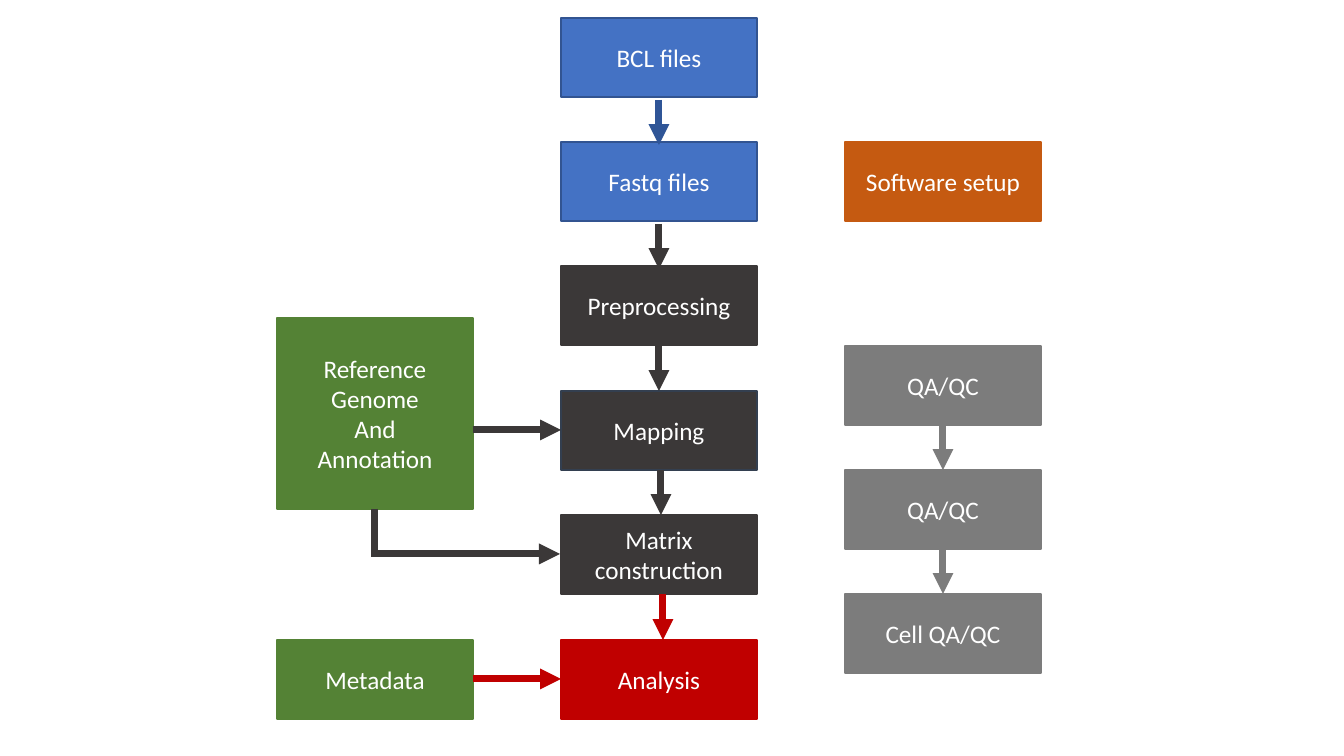
import dataclasses

import lxml.etree
import pptx
import pptx.dml.color
import pptx.enum.shapes
import pptx.enum.text
import pptx.oxml.ns
import pptx.util

SCALE = 914400 / 100.8


@dataclasses.dataclass(frozen=True)
class Theme:
    font: str = "Calibri"
    text_size: int = 18
    border_width: int = 1
    arrow_width: int = 5
    text: str = "FFFFFF"
    blue: str = "4472C4"
    blue_border: str = "325491"
    blue_arrow: str = "2F5597"
    charcoal: str = "3B3838"
    slate: str = "333F50"
    green: str = "548235"
    orange: str = "C55A11"
    gray: str = "7C7C7C"
    red: str = "C00000"


def emu(pixels):
    return round(pixels * SCALE)


def color(value):
    return pptx.dml.color.RGBColor.from_string(value)


def apply(target, values):
    for name, value in values.items():
        setattr(target, name, value)


def add_xml(parent, tag, **attributes):
    return lxml.etree.SubElement(parent, pptx.oxml.ns.qn(tag), attributes)


class FlowSlide:
    def __init__(self, slide, theme):
        self.shapes = slide.shapes
        self.theme = theme

    def box(self, text, left, top, width, height, fill, border=None):
        box = self.shapes.add_shape(
            pptx.enum.shapes.MSO_SHAPE.RECTANGLE,
            *map(emu, (left, top, width, height)),
        )
        box.shadow.inherit = False
        box.fill.solid()
        box.fill.fore_color.rgb = color(fill)
        box.line.color.rgb = color(border or fill)
        box.line.width = pptx.util.Pt(self.theme.border_width)
        frame = box.text_frame
        apply(frame, {
            "text": text,
            "word_wrap": True,
            "vertical_anchor": pptx.enum.text.MSO_ANCHOR.MIDDLE,
        })
        for para in frame.paragraphs:
            para.alignment = pptx.enum.text.PP_ALIGN.CENTER
            for span in para.runs:
                apply(span.font, {
                    "name": self.theme.font,
                    "size": pptx.util.Pt(self.theme.text_size),
                })
                span.font.color.rgb = color(self.theme.text)

    def connector(self, kind, start, end, stroke):
        connector = self.shapes.add_connector(kind, *map(emu, (*start, *end)))
        connector.line.color.rgb = color(stroke)
        connector.line.width = pptx.util.Pt(self.theme.arrow_width)
        properties = connector.element.spPr
        outline = properties.find(pptx.oxml.ns.qn("a:ln"))
        add_xml(outline, "a:miter", lim="800000")
        add_xml(outline, "a:tailEnd", type="triangle")
        add_xml(properties, "a:effectLst")
        return connector

    def arrow(self, start, end, stroke):
        self.connector(pptx.enum.shapes.MSO_CONNECTOR.STRAIGHT, start, end, stroke)

    def down_then_right_arrow(self, start, end, stroke):
        across, down = end[0] - start[0], end[1] - start[1]
        left = (start[0] + end[0] - down) / 2
        top = (start[1] + end[1] - across) / 2
        connector = self.connector(
            pptx.enum.shapes.MSO_CONNECTOR.ELBOW,
            (left, top), (left + down, top + across), stroke,
        )
        properties = connector.element.spPr
        transform = properties.find(pptx.oxml.ns.qn("a:xfrm"))
        transform.set("rot", "16200000")
        transform.set("flipH", "1")
        geometry = properties.find(pptx.oxml.ns.qn("a:prstGeom"))
        geometry.set("prst", "bentConnector2")


BOX_WIDTH, BOX_HEIGHT = 196, 79
INPUT_LEFT, STEP_LEFT, SIDE_LEFT = 277, 561, 845
STEP_TOP, CHECK_TOP = 18, 346
REFERENCE_TOP, REFERENCE_HEIGHT = 318, 191


def row_top(first, row):
    return first + row * 622 // 5


theme = Theme()
deck = pptx.Presentation()
apply(deck, {"slide_width": emu(1344), "slide_height": emu(756)})
page = FlowSlide(deck.slides.add_slide(deck.slide_layouts[6]), theme)

steps = [
    ("BCL files", theme.blue, theme.blue_border),
    ("Fastq files", theme.blue, theme.blue_border),
    ("Preprocessing", theme.charcoal, None),
    ("Mapping", theme.charcoal, theme.slate),
    ("Matrix construction", theme.charcoal, None),
    ("Analysis", theme.red, None),
]
step_tops = [row_top(STEP_TOP, row) for row in range(len(steps))]
for top, (label, fill, border) in zip(step_tops, steps):
    page.box(label, STEP_LEFT, top, BOX_WIDTH, BOX_HEIGHT, fill, border)

checks = ["QA/QC", "QA/QC", "Cell QA/QC"]
check_tops = [row_top(CHECK_TOP, row) for row in range(len(checks))]
for top, label in zip(check_tops, checks):
    page.box(label, SIDE_LEFT, top, BOX_WIDTH, BOX_HEIGHT, theme.gray)

page.box("Software setup", SIDE_LEFT, step_tops[1], BOX_WIDTH, BOX_HEIGHT, theme.orange)
page.box("Metadata", INPUT_LEFT, step_tops[5], BOX_WIDTH, BOX_HEIGHT, theme.green)
page.box("Reference Genome\nAnd\nAnnotation", INPUT_LEFT, REFERENCE_TOP,
         BOX_WIDTH, REFERENCE_HEIGHT, theme.green)

step_arrows = [
    (0, 3, theme.blue_arrow),
    (0, 3, theme.charcoal),
    (0, 0, theme.charcoal),
    (2, 0, theme.charcoal),
    (4, 0, theme.red),
]
for top, next_top, (shift, drop, stroke) in zip(step_tops, step_tops[1:], step_arrows):
    center = STEP_LEFT + BOX_WIDTH // 2 + shift
    page.arrow((center, top + BOX_HEIGHT + drop), (center, next_top + drop), stroke)

check_center = SIDE_LEFT + BOX_WIDTH // 2
for top, next_top in zip(check_tops, check_tops[1:]):
    page.arrow((check_center, top + BOX_HEIGHT), (check_center, next_top), theme.gray)

for row, stroke in ((3, theme.charcoal), (5, theme.red)):
    middle = step_tops[row] + BOX_HEIGHT // 2
    page.arrow((INPUT_LEFT + BOX_WIDTH, middle), (STEP_LEFT, middle), stroke)

page.down_then_right_arrow(
    (INPUT_LEFT + BOX_WIDTH // 2, REFERENCE_TOP + REFERENCE_HEIGHT),
    (STEP_LEFT - 1, step_tops[4] + BOX_HEIGHT // 2),
    theme.charcoal,
)

deck.save("out.pptx")
